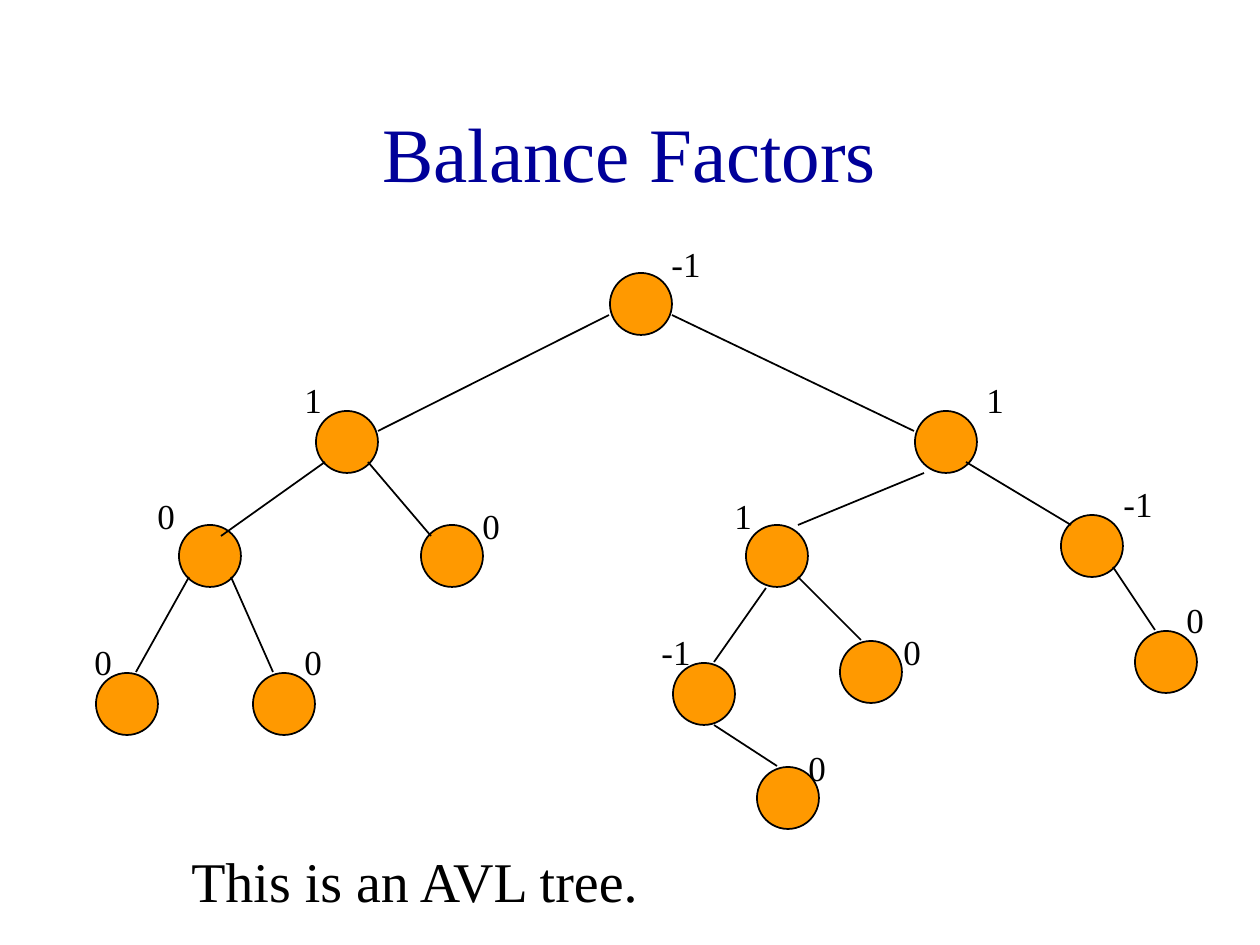
from dataclasses import dataclass

import pptx
import pptx.dml.color
import pptx.enum.shapes
import pptx.enum.text
import pptx.oxml.ns
import pptx.util
from lxml import etree

PX = 914400 / 126


@dataclass(frozen=True)
class Theme:
    font: str = "Times New Roman"
    title_color: str = "000099"
    ink: str = "000000"
    node_fill: str = "FF9900"
    title_size: int = 44
    caption_size: int = 32
    label_size: int = 20
    line_width: int = 1


THEME = Theme()
NODE_SIZE = 62
LABEL_HEIGHT = 54
LABEL_WIDTHS = {1: 43, 2: 54}  # by number of characters

# Balance factor, corner of the circle, corner of the label
NODES = [
    ("-1", (530, 43), (579, 6)),
    ("1", (236, 181), (212, 142)),
    ("1", (835, 181), (894, 142)),
    ("0", (99, 295), (65, 258)),
    ("0", (341, 295), (390, 268)),
    ("1", (666, 295), (642, 258)),
    ("-1", (981, 285), (1031, 246)),
    ("0", (16, 443), (2, 404)),
    ("0", (173, 443), (212, 404)),
    ("-1", (593, 433), (569, 394)),
    ("0", (760, 411), (811, 394)),
    ("0", (1055, 401), (1094, 362)),
    ("0", (677, 537), (716, 510)),
]

# Lower edge of the parent, upper edge of the child
EDGES = [
    ((529, 85), (298, 201)),
    ((592, 85), (834, 201)),
    ((245, 232), (141, 306)),
    ((288, 232), (351, 306)),
    ((844, 243), (718, 295)),
    ((886, 232), (991, 295)),
    ((109, 347), (56, 442)),
    ((151, 347), (193, 442)),
    ((686, 358), (634, 432)),
    ((718, 347), (781, 410)),
    ((1033, 337), (1075, 400)),
    ((634, 495), (697, 536)),
]


def px(*lengths):
    return [pptx.util.Emu(round(length * PX)) for length in lengths]


def rgb(color):
    return pptx.dml.color.RGBColor.from_string(color)


def add_text(page, box, text, size, color=THEME.ink, wrap=True):
    frame = page.shapes.add_textbox(*px(*box)).text_frame
    frame.word_wrap = wrap
    para = frame.paragraphs[0]
    para.text = text
    para.font.name = THEME.font
    para.font.size = pptx.util.Pt(size)
    para.font.color.rgb = rgb(color)
    return frame


def style_line(line):
    line.color.rgb = rgb(THEME.ink)
    line.width = pptx.util.Pt(THEME.line_width)


def add_node(page, left, top):
    node = page.shapes.add_shape(
        pptx.enum.shapes.MSO_SHAPE.OVAL, *px(left, top, NODE_SIZE, NODE_SIZE))
    node.shadow.inherit = False
    node.fill.solid()
    node.fill.fore_color.rgb = rgb(THEME.node_fill)
    style_line(node.line)


def add_edge(page, start, end):
    edge = page.shapes.add_connector(
        pptx.enum.shapes.MSO_CONNECTOR.STRAIGHT, *px(*start, *end))
    style_line(edge.line)
    etree.SubElement(edge._element.spPr, pptx.oxml.ns.qn("a:effectLst"))


def add_title(page, box):
    frame = add_text(page, box, "Balance Factors", THEME.title_size, THEME.title_color)
    frame.vertical_anchor = pptx.enum.text.MSO_ANCHOR.MIDDLE
    frame.paragraphs[0].alignment = pptx.enum.text.PP_ALIGN.CENTER


def add_tree(page, box):
    """Draw circles, then edges, then balance factors from the box's corner."""
    left, top = box[:2]

    def place(point):
        return left + point[0], top + point[1]

    for _, corner, _ in NODES:
        add_node(page, *place(corner))
    for start, end in EDGES:
        add_edge(page, place(start), place(end))
    for factor, _, corner in NODES:
        label_box = (*place(corner), LABEL_WIDTHS[len(factor)], LABEL_HEIGHT)
        frame = add_text(page, label_box, factor, THEME.label_size, wrap=False)
        frame.auto_size = pptx.enum.text.MSO_AUTO_SIZE.SHAPE_TO_FIT_TEXT


def add_caption(page, box):
    frame = add_text(page, box, "This is an AVL tree.", THEME.caption_size)
    frame.paragraphs[0].space_before = pptx.util.Pt(8)


def main():
    deck = pptx.Presentation()
    deck.slide_width, deck.slide_height = px(1260, 945)
    page = deck.slides.add_slide(deck.slide_layouts[6])
    add_title(page, (94, 73, 1071, 158))
    add_tree(page, (80, 230, 1140, 600))
    add_caption(page, (179, 840, 882, 105))
    deck.save("out.pptx")


if __name__ == "__main__":
    main()
